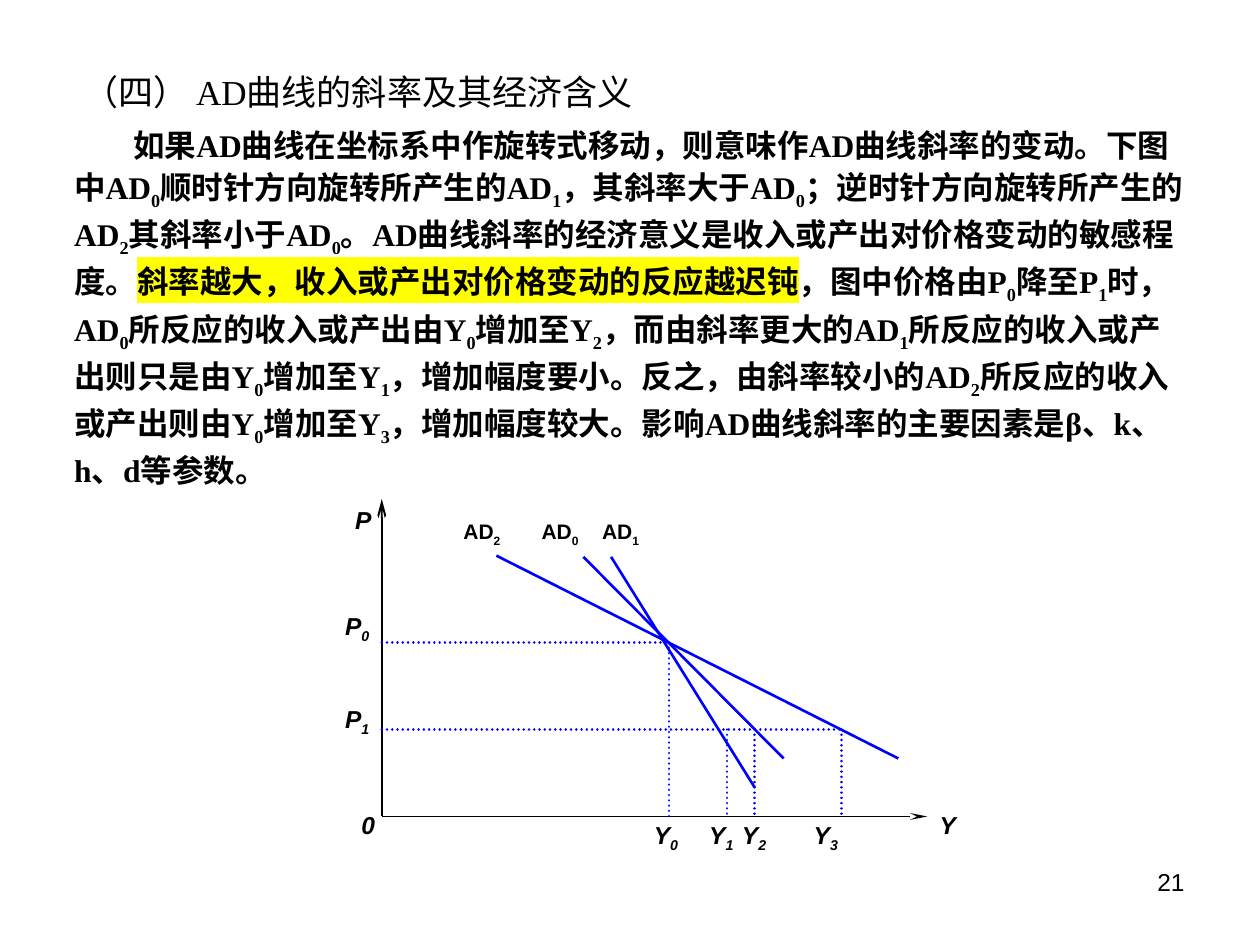
"""Build the slide on the slope of the AD curve and its economic meaning."""
from lxml import etree
from pptx import Presentation
from pptx.dml.color import RGBColor
from pptx.enum.dml import MSO_LINE
from pptx.enum.shapes import MSO_CONNECTOR
from pptx.enum.text import MSO_ANCHOR, PP_ALIGN
from pptx.oxml.ns import qn
from pptx.util import Inches, Pt

BLACK = RGBColor(0, 0, 0)
BLUE = RGBColor(0, 0, 255)
YELLOW = RGBColor(255, 255, 0)
SERIF, SANS = "Times New Roman", "Arial"


def add_runs(paragraph, marked_text, formats, highlight=None):
    """Add text in which the character after each underscore is a subscript."""
    plain, *rest = marked_text.split("_")
    pieces = [(plain, False)]
    for part in rest:
        pieces += [(part[0], True), (part[1:], False)]
    for words, lowered in pieces:
        if not words:
            continue
        run = paragraph.add_run()
        run.text = words
        run.font.color.rgb = BLACK
        for name, value in formats.items():
            setattr(run.font, name, value)
        properties = run.font._element
        if lowered:
            properties.set("baseline", "-25000")
        if highlight:
            marker = etree.Element(qn("a:highlight"))
            etree.SubElement(marker, qn("a:srgbClr"), val=str(highlight))
            properties.find(qn("a:latin")).addprevious(marker)


def add_line(slide, start, end, color, width, dash=None, arrow=None):
    """Draw a straight line between two points given in inches."""
    line = slide.shapes.add_connector(
        MSO_CONNECTOR.STRAIGHT, *[Inches(value) for value in (*start, *end)])
    line.line.color.rgb = color
    line.line.width = Pt(width)
    outline = line.line._get_or_add_ln()
    if dash:
        line.line.dash_style = dash
        outline.set("cap", "rnd")
    if arrow:
        end_name, arrow_type = arrow
        etree.SubElement(outline, qn(f"a:{end_name}"), type=arrow_type, w="sm", len="lg")
    etree.SubElement(line._element.spPr, qn("a:effectLst"))


presentation = Presentation()
presentation.slide_width, presentation.slide_height = Inches(10), Inches(7.5)
slide = presentation.slides.add_slide(presentation.slide_layouts[5])

heading = slide.shapes.title
heading.left, heading.top = Inches(0.5), Inches(0.3)
heading.width, heading.height = Inches(8.91), Inches(0.85)
heading.text_frame.vertical_anchor = MSO_ANCHOR.MIDDLE
heading.text_frame.margin_left = Inches(0.16)
heading_line = heading.text_frame.paragraphs[0]
heading_line.alignment = PP_ALIGN.LEFT
add_runs(heading_line, "（四） ", {"size": Pt(20), "name": SANS})
add_runs(heading_line, "AD曲线的斜率及其经济含义", {"size": Pt(20), "name": SERIF})

explanation = slide.shapes.add_textbox(
    Inches(0.12), Inches(0.91), Inches(9.42), Inches(2.6)).text_frame
explanation.word_wrap = True
explanation.margin_top = Inches(0.06)
passage = explanation.paragraphs[0]
passage.line_spacing = 1.1
indents = passage._p.get_or_add_pPr()
indents.set("marL", str(Inches(0.37)))
indents.set("indent", str(Inches(0.47)))
passage_format = {"size": Pt(18), "name": SERIF, "bold": True}
for words, highlight in [
    ("如果AD曲线在坐标系中作旋转式移动，则意味作AD曲线斜率的变动。"
     "下图中AD_0顺时针方向旋转所产生的AD_1，其斜率大于AD_0；"
     "逆时针方向旋转所产生的AD_2其斜率小于AD_0。"
     "AD曲线斜率的经济意义是收入或产出对价格变动的敏感程度。", None),
    ("斜率越大，收入或产出对价格变动的反应越迟钝", YELLOW),
    ("，图中价格由P_0降至P_1时，AD_0所反应的收入或产出由Y_0增加至Y_2，"
     "而由斜率更大的AD_1所反应的收入或产出则只是由Y_0增加至Y_1，增加幅度要小。"
     "反之，由斜率较小的AD_2所反应的收入或产出则由Y_0增加至Y_3，增加幅度较大。"
     "影响AD曲线斜率的主要因素是β、k、h、d等参数。", None),
]:
    add_runs(passage, words, passage_format, highlight)

origin_x, origin_y = 3.03, 6.48
price_0, price_1 = 5.1, 5.79
output_0, output_1, output_2, output_3 = 5.31, 5.77, 5.99, 6.68

add_line(slide, (origin_x, 3.96), (origin_x, origin_y), BLACK, 1, arrow=("headEnd", "arrow"))
add_line(slide, (origin_x, origin_y), (7.36, origin_y), BLACK, 1, arrow=("tailEnd", "stealth"))

for start, end in [
    ((3.94, 4.41), (7.13, 6.02)),
    ((4.63, 4.42), (6.22, 6.02)),
    ((4.85, 4.42), (5.99, 6.25)),
]:
    add_line(slide, start, end, BLUE, 1.5)

for price, output in [(price_0, output_0), (price_1, output_3)]:
    add_line(slide, (origin_x, price), (output, price), BLUE, 1.5, MSO_LINE.ROUND_DOT)
for output, price in [(output_0, price_0), (output_1, price_1),
                      (output_2, price_1), (output_3, price_1)]:
    add_line(slide, (output, price), (output, origin_y), BLUE, 1.5, MSO_LINE.ROUND_DOT)

curve_format = {"size": Pt(12), "name": SANS, "bold": True}
axis_format = {"size": Pt(14), "name": SANS, "bold": True, "italic": True}
number_format = {"size": Pt(14), "name": SANS}
for words, left, top, width, height, formats, alignment in [
    *[(words, left, 4.07, 0.6, 0.3, curve_format, PP_ALIGN.LEFT)
      for words, left in [("AD_2", 3.58), ("AD_0", 4.2), ("AD_1", 4.68)]],
    *[(words, left, top, 0.49, 0.34, axis_format, PP_ALIGN.LEFT)
      for words, left, top in [
          ("P", 2.72, 3.96), ("P_0", 2.64, 4.8), ("P_1", 2.64, 5.54),
          ("0", 2.77, 6.38), ("Y", 7.36, 6.38),
          ("Y_0", 5.09, 6.46), ("Y_1", 5.53, 6.46),
          ("Y_2", 5.79, 6.46), ("Y_3", 6.36, 6.46)]],
    ("21", 7.17, 6.83, 2.33, 0.52, number_format, PP_ALIGN.RIGHT),
]:
    label = slide.shapes.add_textbox(
        Inches(left), Inches(top), Inches(width), Inches(height)).text_frame
    label.word_wrap = True
    label.paragraphs[0].alignment = alignment
    add_runs(label.paragraphs[0], words, formats)

presentation.save("out.pptx")
